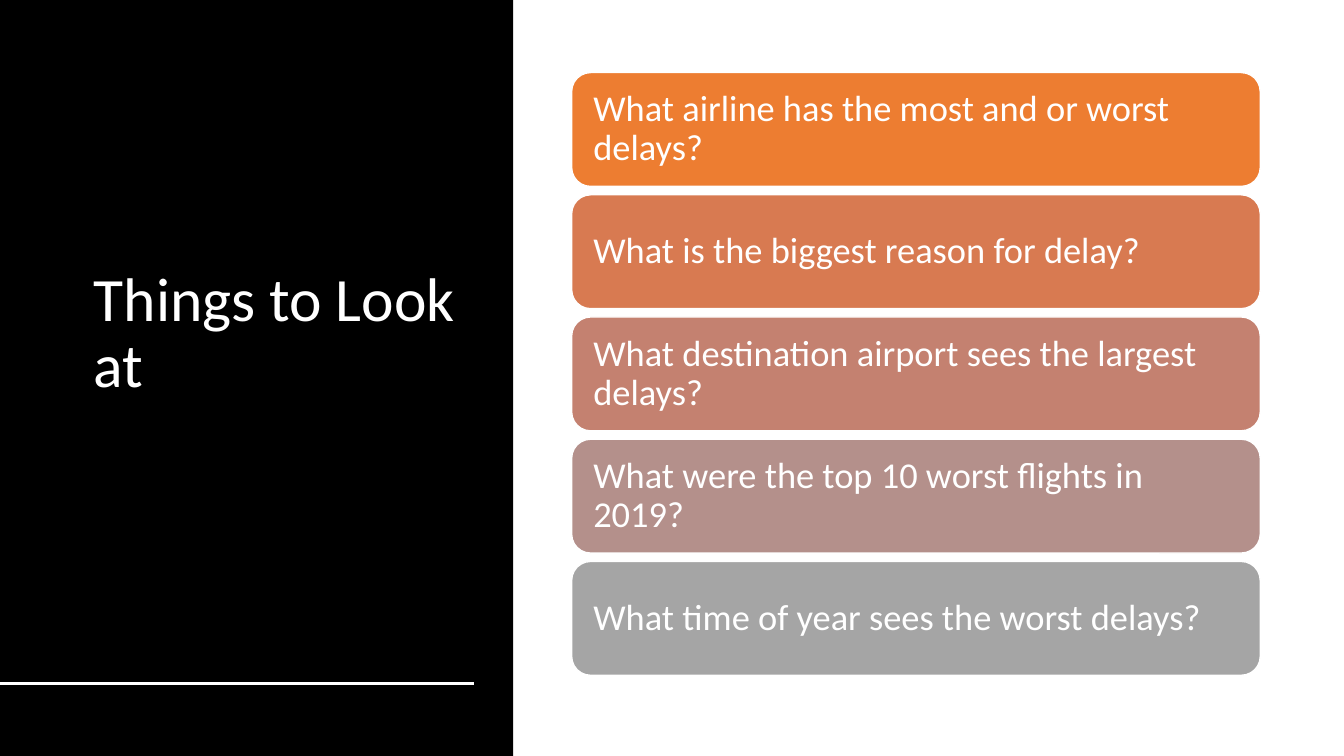
import pptx
import pptx.dml.color
import pptx.enum.shapes
import pptx.enum.text
import pptx.oxml.ns
import pptx.util
from lxml import etree

RGBColor = pptx.dml.color.RGBColor
Shape = pptx.enum.shapes.MSO_SHAPE
BLACK = RGBColor(0x00, 0x00, 0x00)
WHITE = RGBColor(0xFF, 0xFF, 0xFF)
ORANGE = RGBColor(0xED, 0x7D, 0x31)
TERRACOTTA = RGBColor(0xD8, 0x7A, 0x51)
ROSE = RGBColor(0xC4, 0x81, 0x70)
MAUVE = RGBColor(0xB4, 0x90, 0x8B)
GRAY = RGBColor(0xA5, 0xA5, 0xA5)

FONT = "Calibri"
TITLE = "Things to Look at"
QUESTIONS = [
    ("What airline has the most and or worst delays?", ORANGE),
    ("What is the biggest reason for delay?", TERRACOTTA),
    ("What destination airport sees the largest delays?", ROSE),
    ("What were the top 10 worst flights in 2019?", MAUVE),
    ("What time of year sees the worst delays?", GRAY),
]

SLIDE_WIDTH, SLIDE_HEIGHT = 1333, 750
PANEL_WIDTH = 509
TITLE_BOX = (83, 61, 390, 542)
RULE_RIGHT, RULE_TOP = 470, 678
CARD_LEFT, CARD_WIDTH, CARD_HEIGHT = 567, 683, 113
STACK_TOP, STACK_BOTTOM = 72, 670
CARD_INSET = 16


def px(length):
    return pptx.util.Emu(round(length * 9144))


def write_text(shape, text, size):
    frame = shape.text_frame
    frame.word_wrap = True
    frame.auto_size = pptx.enum.text.MSO_AUTO_SIZE.NONE
    frame.vertical_anchor = pptx.enum.text.MSO_ANCHOR.MIDDLE
    paragraph = frame.paragraphs[0]
    paragraph.alignment = pptx.enum.text.PP_ALIGN.LEFT
    paragraph.line_spacing = 0.9
    run = paragraph.add_run()
    run.text = text
    run.font.name = FONT
    run.font.size = pptx.util.Pt(size)
    run.font.color.rgb = WHITE


def add_block(slide, kind, box, color):
    shape = slide.shapes.add_shape(kind, *map(px, box))
    shape.shadow.inherit = False
    shape.fill.solid()
    shape.fill.fore_color.rgb = color
    return shape


def add_title(slide):
    panel = add_block(slide, Shape.RECTANGLE, (0, 0, PANEL_WIDTH, SLIDE_HEIGHT), BLACK)
    panel.line.fill.background()
    title = slide.shapes.title
    title.left, title.top, title.width, title.height = map(px, TITLE_BOX)
    title.element.addprevious(panel.element)
    write_text(title, TITLE, 44)


def add_rule(slide):
    rule = slide.shapes.add_connector(
        pptx.enum.shapes.MSO_CONNECTOR.STRAIGHT,
        px(0), px(RULE_TOP), px(RULE_RIGHT), px(RULE_TOP),
    )
    rule.line.color.rgb = WHITE
    rule.line.width = pptx.util.Pt(2)
    etree.SubElement(rule.element.spPr, pptx.oxml.ns.qn("a:effectLst"))


def add_cards(slide):
    pitch = (STACK_BOTTOM - STACK_TOP - CARD_HEIGHT) / (len(QUESTIONS) - 1)
    for index, (question, color) in enumerate(QUESTIONS):
        box = (CARD_LEFT, STACK_TOP + index * pitch, CARD_WIDTH, CARD_HEIGHT)
        card = add_block(slide, Shape.ROUNDED_RECTANGLE, box, color)
        card.line.color.rgb = WHITE
        card.line.width = pptx.util.Pt(1)
        frame = card.text_frame
        frame.margin_left = frame.margin_right = px(CARD_INSET)
        frame.margin_top = frame.margin_bottom = px(CARD_INSET)
        write_text(card, question, 26)


def main():
    presentation = pptx.Presentation()
    presentation.slide_width = px(SLIDE_WIDTH)
    presentation.slide_height = px(SLIDE_HEIGHT)
    slide = presentation.slides.add_slide(presentation.slide_layouts[5])
    add_title(slide)
    add_rule(slide)
    add_cards(slide)
    presentation.save("out.pptx")


if __name__ == "__main__":
    main()
